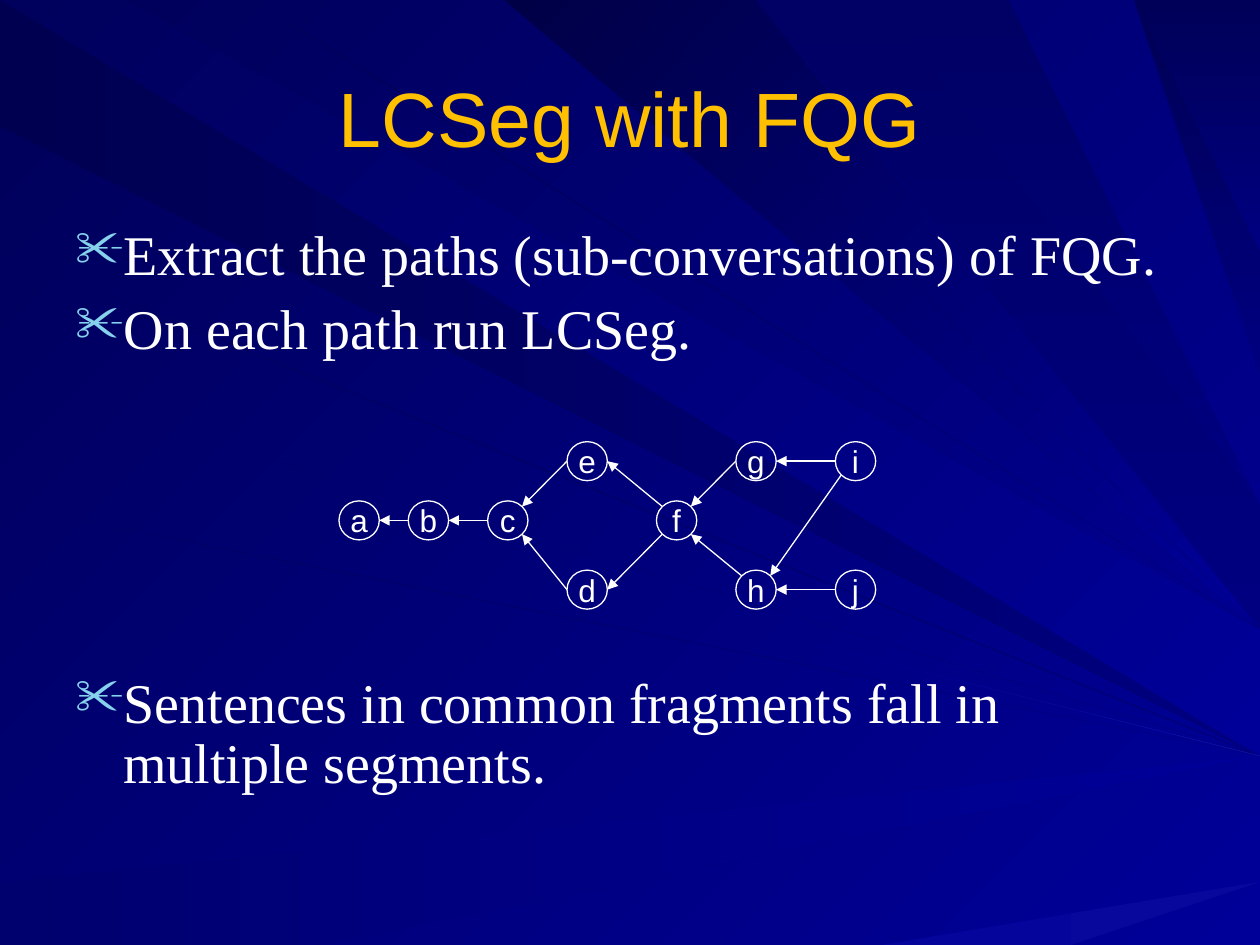
import math
import pptx
import pptx.util
import pptx.dml.color
import pptx.enum.shapes
import pptx.enum.text
import pptx.oxml.ns
from lxml import etree

THEME = {
    "background": ("000058", "000099", 45),
    "title": "FFC000", "text": "FFFFFF", "bullet": "86D1EC", "line": "FFFFFF",
    "heading_font": "Arial", "body_font": "Times New Roman",
    "title_size": 44, "body_size": 32, "node_size": 18, "line_width": 0.75,
    "rays": {
        "flat": ("left", "000080", 0), "low": ("left", "000099", 0),
        "slant": ("left", "000099", 45), "fall": ("top", "000099", 45),
        "drop": ("top", "000080", 90),
    },
    "fan": ("000099", "08089C", 0), "glow": ("000099", "1717A2", 0),
}
WIDTH, HEIGHT = 10, 7.5
NODE_WIDTH, NODE_HEIGHT = 0.32, 0.31

TITLE = "LCSeg with FQG"
BULLETS = [
    ("Extract the paths (sub-conversations) of FQG.", 0),
    ("On each path run LCSeg.", 8),
    ("Sentences in common fragments fall in multiple segments.", 179),
]

COLUMNS = (2.85, 3.4, 4.03, 4.66, 5.37, 6, 6.79)
ROWS = (3.66, 4.13, 4.68)
NODES = {
    "a": (0, 1), "b": (1, 1), "c": (2, 1), "e": (3, 0), "d": (3, 2),
    "f": (4, 1), "g": (5, 0), "h": (5, 2), "j": (6, 2), "i": (6, 0),
}
SIDES = ("E", "SE", "S", "SW", "W", "NW", "N", "NE")
EDGES = [
    ("b", "W", "a", "E"), ("c", "W", "b", "E"), ("e", "W", "c", "NE"),
    ("d", "W", "c", "SE"), ("f", "NW", "e", "E"), ("f", "SW", "d", "E"),
    ("h", "NW", "f", "SE"), ("g", "W", "f", "NE"), ("i", "W", "g", "E"),
    ("j", "W", "h", "E"), ("i", "SW", "h", "NE"),
]

FOCUS = {"left": (11.07, 6.3), "top": (11.4, 6.3)}
RAYS = [
    ("flat", "000051", 0, 0.93), ("fall", "00005D", 0.26, 1.01),
    ("flat", "000061", 5.96, 6.23), ("low", "00007D", 6.65, 7.04),
    ("low", "00006F", 7.35, 7.5), ("slant", "000053", 2.58, 2.7),
    ("flat", "000055", 1.59, 2.28), ("fall", "00006B", 3.98, 4.16),
    ("fall", "000047", 4.26, 4.92), ("fall", "00004F", 5.4, 5.52),
    ("drop", "000065", 6.06, 6.61), ("drop", "000055", 8.87, 9.3),
    ("drop", "000059", 9.39, 9.64), ("slant", "000061", 2.78, 3.42),
    ("slant", "00005D", 3.74, 4.37), ("low", "000082", 5.52, 5.6),
    ("fall", "00004A", 2.25, 2.47), ("fall", "000082", 5.77, 5.88),
    ("drop", "000065", 6.86, 7.7), ("fall", "000058", 7.85, 7.92),
    ("fall", "00006F", 8.15, 8.24), ("fall", "000079", 8.65, 8.72),
    ("low", "00006F", 2.83, 3.47),
]
PATCHES = [
    ("fan", [(3.64, 7.5), (7.42, 7.5), (10, 6.94), (10, 6.72)]),
    ("glow", [(6.37, 4.85), (6.33, 5.11), (10, 6.06), (10, 6.01)]),
]


def color(name):
    return pptx.dml.color.RGBColor.from_string(name)


def inches(*values):
    return [pptx.util.Inches(value) for value in values]


def add_element(parent, tag, **attributes):
    return etree.SubElement(parent, pptx.oxml.ns.qn(tag), **attributes)


def set_gradient(fill, start, end, angle):
    fill.gradient()
    fill.gradient_angle = (360 - angle) % 360
    for stop, name in zip(fill.gradient_stops, (start, end)):
        stop.color.rgb = color(name)


def set_line(line):
    line.color.rgb = color(THEME["line"])
    line.width = pptx.util.Pt(THEME["line_width"])


def write_text(shape, paragraphs, *, size, font, fill, align="CENTER", anchor="MIDDLE",
               wrap=True, bullet=None, indent=0, spacing=None):
    frame = shape.text_frame
    frame.word_wrap = wrap
    frame.vertical_anchor = pptx.enum.text.MSO_ANCHOR[anchor]
    for index, (text, space_before) in enumerate(paragraphs):
        paragraph = frame.add_paragraph() if index else frame.paragraphs[0]
        if bullet:
            properties = paragraph._p.get_or_add_pPr()
            properties.set("marL", str(pptx.util.Inches(indent)))
            properties.set("indent", str(-pptx.util.Inches(indent)))
            bullet_color = add_element(properties, "a:buClr")
            add_element(bullet_color, "a:srgbClr", val=THEME["bullet"])
            add_element(properties, "a:buSzPct", val="90000")
            add_element(properties, "a:buChar", char=bullet)
        paragraph.alignment = pptx.enum.text.PP_ALIGN[align]
        paragraph.space_before = pptx.util.Pt(space_before)
        paragraph.line_spacing = spacing
        run = paragraph.add_run()
        run.text = text
        run.font.size = pptx.util.Pt(size)
        run.font.name = font
        run.font.color.rgb = color(fill)


def add_polygon(slide, points, gradient):
    builder = slide.shapes.build_freeform(*points[0], scale=pptx.util.Inches(1))
    builder.add_line_segments(points[1:], close=True)
    shape = builder.convert_to_shape()
    shape.shadow.inherit = False
    set_gradient(shape.fill, *gradient)
    shape.line.fill.background()


def add_ray(slide, style, dark, start, stop):
    edge, light, angle = THEME["rays"][style]
    focus_x, focus_y = FOCUS[edge]
    near = [(0, value) if edge == "left" else (value, 0) for value in (start, stop)]
    far = [(WIDTH, y + (focus_y - y) * (WIDTH - x) / (focus_x - x)) for x, y in reversed(near)]
    add_polygon(slide, near + far, (dark, light, angle))


def center(name):
    column, row = NODES[name]
    return COLUMNS[column], ROWS[row]


def port(name, side):
    x, y = center(name)
    angle = math.tau * SIDES.index(side) / len(SIDES)
    return inches(x + NODE_WIDTH / 2 * math.cos(angle), y + NODE_HEIGHT / 2 * math.sin(angle))


def add_node(slide, name):
    x, y = center(name)
    box = inches(x - NODE_WIDTH / 2, y - NODE_HEIGHT / 2, NODE_WIDTH, NODE_HEIGHT)
    shape = slide.shapes.add_shape(pptx.enum.shapes.MSO_SHAPE.OVAL, *box)
    shape.shadow.inherit = False
    shape.fill.background()
    set_line(shape.line)
    write_text(shape, [(name, 0)], size=THEME["node_size"], font=THEME["heading_font"],
               fill=THEME["text"], wrap=False)


def add_edge(slide, source, source_side, target, target_side):
    connector = slide.shapes.add_connector(
        pptx.enum.shapes.MSO_CONNECTOR.STRAIGHT, *port(source, source_side), *port(target, target_side))
    set_line(connector.line)
    add_element(connector.line._get_or_add_ln(), "a:tailEnd", type="triangle")
    add_element(connector._element.spPr, "a:effectLst")


def main():
    presentation = pptx.Presentation()
    presentation.slide_width, presentation.slide_height = inches(WIDTH, HEIGHT)
    slide = presentation.slides.add_slide(presentation.slide_layouts[6])
    set_gradient(slide.background.fill, *THEME["background"])
    for ray in RAYS:
        add_ray(slide, *ray)
    for style, points in PATCHES:
        add_polygon(slide, points, THEME[style])
    margin, content_width = WIDTH * 0.05, WIDTH * 0.9
    title = slide.shapes.add_textbox(*inches(margin, HEIGHT * 0.04, content_width, 1.25))
    write_text(title, [(TITLE, 0)], size=THEME["title_size"], font=THEME["heading_font"],
               fill=THEME["title"])
    body = slide.shapes.add_textbox(*inches(margin, 1.75, content_width, HEIGHT * 0.66))
    write_text(body, BULLETS, size=THEME["body_size"], font=THEME["body_font"],
               fill=THEME["text"], align="LEFT", anchor="TOP", bullet="✂", indent=0.38, spacing=0.9)
    for name in NODES:
        add_node(slide, name)
    for edge in EDGES:
        add_edge(slide, *edge)
    presentation.save("out.pptx")


if __name__ == "__main__":
    main()
